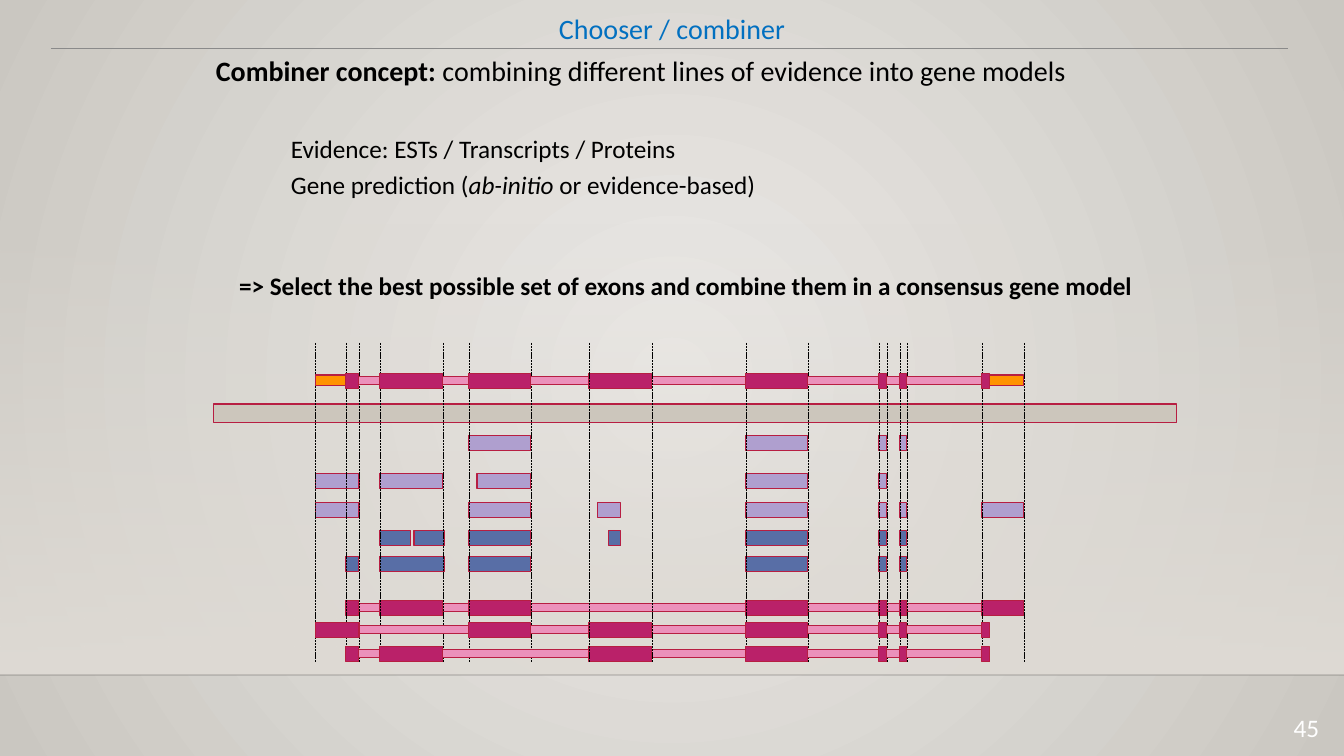
from pptx import Presentation
from pptx.dml.color import RGBColor
from pptx.enum.dml import MSO_LINE_DASH_STYLE as Dash
from pptx.enum.shapes import MSO_CONNECTOR as Connector, MSO_SHAPE as Shape
from pptx.enum.text import MSO_ANCHOR as Anchor, MSO_AUTO_SIZE as AutoSize, PP_ALIGN as Align
from pptx.oxml import parse_xml
from pptx.oxml.ns import nsdecls
from pptx.util import Pt

PX = 12192000 / 1344
COLORS = {
    "centre": "ECEAE7", "edge": "CAC7C1", "panel": "DFDBD5",
    "floor": "000001", "rule": "8A8A8A", "black": "000000",
    "white": "FFFFFF", "title": "0270C0", "outline": "B71E42",
    "genome": "CCC6BC", "intron": "EB91BB", "model": "BA2169",
    "prediction": "586EA6", "evidence": "AF9FCF", "utr": "FF9300",
}
RGB = {name: RGBColor.from_string(value) for name, value in COLORS.items()}

deck = Presentation()
deck.slide_width, deck.slide_height = round(1344 * PX), round(756 * PX)
page = deck.slides.add_slide(deck.slide_layouts[5])


def add_bar(left, top, width, height, color):
    bar = page.shapes.add_shape(
        Shape.RECTANGLE, *(round(n * PX) for n in (left, top, width, height)))
    bar.shadow.inherit = False
    bar.fill.solid()
    bar.fill.fore_color.rgb = RGB[color]
    bar.line.color.rgb = RGB["outline"]
    bar.line.width = Pt(0.75)
    return bar


def add_rule(x1, y1, x2, y2, color, weight):
    rule = page.shapes.add_connector(
        Connector.STRAIGHT, *(round(n * PX) for n in (x1, y1, x2, y2)))
    rule.line.color.rgb = RGB[color]
    rule.line.width = Pt(weight)
    rule.element.spPr.append(parse_xml(f"<a:effectLst {nsdecls('a')}/>"))
    return rule


backdrop = page.background.fill
backdrop.gradient()
for stop, color in zip(backdrop.gradient_stops, ("centre", "edge")):
    stop.color.rgb = RGB[color]
linear = page.element.xpath("./p:cSld/p:bg//a:lin")[0]
linear.getparent().replace(linear, parse_xml(
    f'<a:path {nsdecls("a")} path="circle">'
    '<a:fillToRect l="50000" t="50000" r="50000" b="50000"/></a:path>'))

panel = add_bar(0, 223, 1344, 452, "panel")
panel.line.fill.background()
panel.fill.gradient()
panel.fill.gradient_angle = 270
for stop in panel.fill.gradient_stops:
    stop.color.rgb = RGB["panel"]
floor = add_rule(0, 675, 1344, 675, "floor", 1)
add_rule(51, 49, 1288, 49, "rule", 0.75)
for shape, alpha in ((panel, 0), (floor, 20000)):
    shape.element.xpath(".//a:srgbClr")[0].append(
        parse_xml(f'<a:alpha {nsdecls("a")} val="{alpha}"/>'))

add_bar(214, 404, 963, 19, "genome")

BAR_HEIGHT = 15
EXONS = {
    "one": (346, 359), "one_long": (315, 359),
    "two": (380, 443), "two_long": (380, 445),
    "two_left": (380, 411), "two_right": (414, 445),
    "three": (469, 531), "three_short": (477, 531),
    "four": (589, 652), "four_part": (598, 621), "four_end": (609, 621),
    "five": (746, 808), "six": (879, 887), "seven": (900, 907),
    "eight": (982, 990), "eight_long": (982, 1024),
}
back_tracks = [
    (601, "model", "one two three five six seven eight_long"),
    (531, "prediction", "two_left two_right three four_end five six seven"),
    (557, "prediction", "one two_long three five six seven"),
    (436, "evidence", "three five six seven"),
    (474, "evidence", "one_long two three_short five six"),
    (503, "evidence", "one_long three four_part five six seven eight_long"),
]
front_tracks = [
    (623, "model", "one_long three four five six seven eight"),
    (647, "model", "one two four five six seven eight"),
    (374, "model", "one two three four five six seven eight"),
]
back_guides = [315, 346, 359, 380, 443, 469, 531, 746, 808, 879, 887, 900, 907, 982, 1024]
front_guides = [589, 652]

for tracks, guides in ((back_tracks, back_guides), (front_tracks, front_guides)):
    for top, color, names in tracks:
        if color == "model":
            add_bar(355, top + 3, 627, 8, "intron")
        for name in names.split():
            start, end = EXONS[name]
            add_bar(start, top, end - start, BAR_HEIGHT, color)
    for x in guides:
        add_rule(x, 343, x, 662, "black", 0.5).line.dash_style = Dash.SQUARE_DOT

for start, end in ((315, 346), (990, 1024)):
    add_bar(start, 375, end - start, 11, "utr")

texts = [
    (206, 49, 985, 44, 20, "black", Align.LEFT,
     [("Combiner concept: ", True, False),
      ("combining different lines of evidence into gene models", False, False)]),
    (281, 128, 444, 40, 18, "black", Align.LEFT,
     [("Evidence: ESTs / Transcripts / Proteins", False, False)]),
    (281, 164, 490, 40, 18, "black", Align.LEFT,
     [("Gene prediction (", False, False), ("ab-initio ", False, True),
      ("or evidence-based)", False, False)]),
    (182, 265, 1008, 40, 18, "black", Align.CENTER,
     [("=> Select the best possible set of exons and combine them "
       "in a consensus gene model", True, False)]),
    (1235, 707, 94, 34, 18, "white", Align.RIGHT, [("45", False, False)]),
    (0, 0, 1344, 49, 20, "title", Align.CENTER, [("Chooser / combiner", False, False)]),
]
for left, top, width, height, size, color, align, spans in texts:
    frame = [round(n * PX) for n in (left, top, width, height)]
    if color == "title":
        box = page.shapes.title
        box.left, box.top, box.width, box.height = frame
    else:
        box = page.shapes.add_textbox(*frame)
    box.text_frame.word_wrap = True
    box.text_frame.auto_size = AutoSize.NONE
    box.text_frame.vertical_anchor = Anchor.TOP
    para = box.text_frame.paragraphs[0]
    para.alignment = align
    para.line_spacing = 1.2 if color == "title" else 1.0
    for words, bold, italic in spans:
        span = para.add_run()
        span.text = words
        span.font.name = "Calibri"
        span.font.size = Pt(size)
        span.font.bold = bold
        span.font.italic = italic
        span.font.color.rgb = RGB[color]

deck.save("out.pptx")
